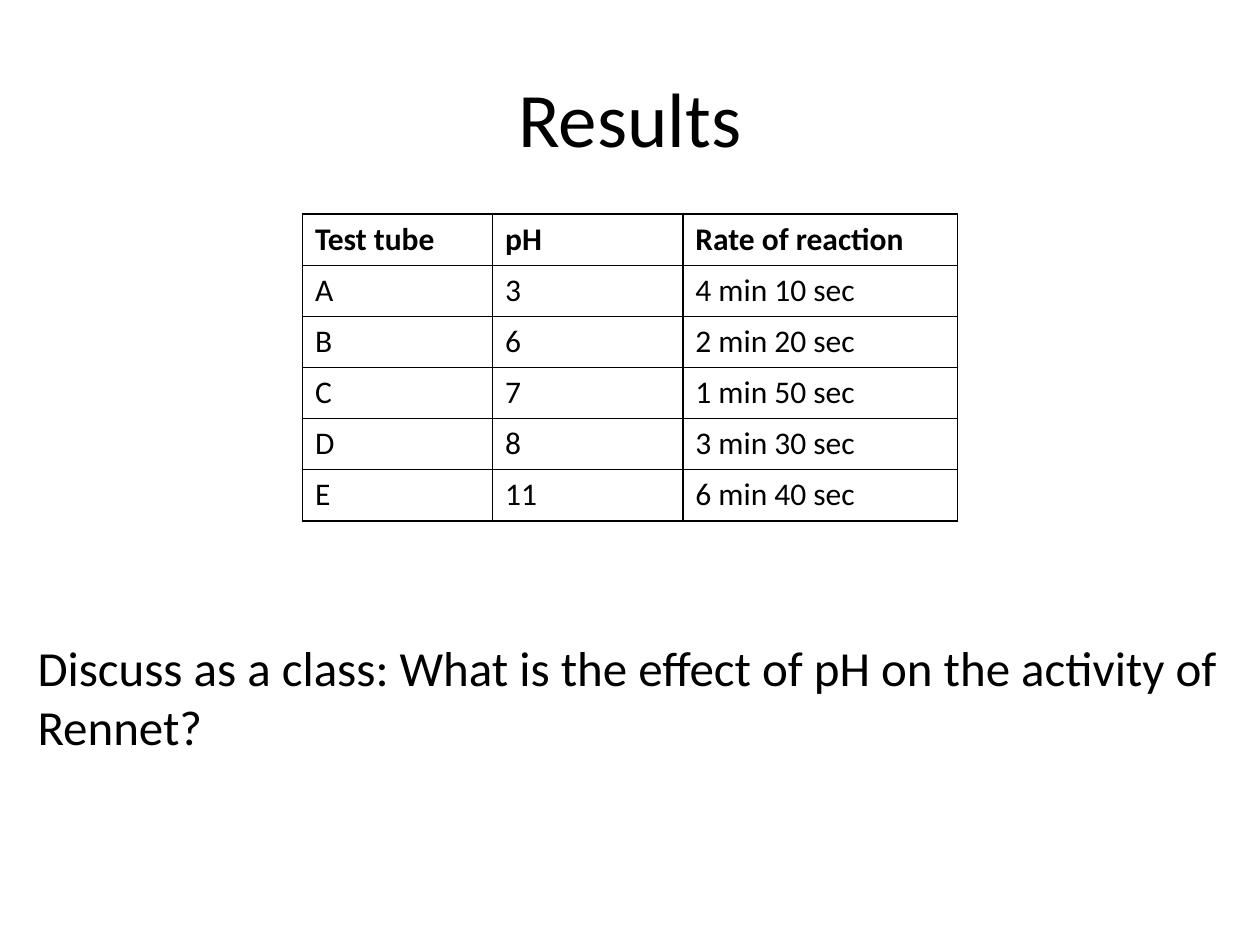
"""Build the Results slide on rennet activity at different pH values."""
from dataclasses import dataclass, fields

from lxml import etree
from pptx import Presentation
from pptx import util as u
from pptx.dml.color import RGBColor
from pptx.enum import text
from pptx.oxml import ns


@dataclass(frozen=True)
class Theme:
    font: str = "Calibri"
    ink: str = "000000"
    paper: str = "FFFFFF"
    title_size: float = 44
    table_size: float = 18
    question_size: float = 28
    border: float = 1


@dataclass(frozen=True)
class Box:
    left: float
    top: float
    width: float
    height: float

    def lengths(self) -> list[u.Length]:
        return [u.Pt(getattr(self, field.name)) for field in fields(self)]


@dataclass(frozen=True)
class Trial:
    tube: str
    ph: str
    rate: str


THEME = Theme()
TITLE_BOX = Box(36, 21.6, 648, 90)
TABLE_BOX = Box(172.8, 122.4, 374.4, 175.2)
QUESTION_BOX = Box(14.4, 360.75, 692, 75)
COLUMN_WIDTHS = (108.7, 108.7, 157)
HEADINGS = Trial("Test tube", "pH", "Rate of reaction")
TRIALS = (
    Trial("A", "3", "4 min 10 sec"),
    Trial("B", "6", "2 min 20 sec"),
    Trial("C", "7", "1 min 50 sec"),
    Trial("D", "8", "3 min 30 sec"),
    Trial("E", "11", "6 min 40 sec"),
)


def write(frame, wording: str, size: float, bold: bool = False) -> None:
    frame.text = wording
    font = frame.paragraphs[0].runs[0].font
    font_format = {"name": THEME.font, "size": u.Pt(size), "bold": bold}
    for attribute, value in font_format.items():
        setattr(font, attribute, value)
    font.color.rgb = RGBColor.from_string(THEME.ink)


def outline(cell) -> None:
    properties = cell._tc.get_or_add_tcPr()
    for side in ("a:lnL", "a:lnR", "a:lnT", "a:lnB"):
        edge = etree.SubElement(properties, ns.qn(side), w=str(u.Pt(THEME.border)))
        paint = etree.SubElement(edge, ns.qn("a:solidFill"))
        etree.SubElement(paint, ns.qn("a:srgbClr"), val=THEME.ink)


def add_title(slide, wording: str) -> None:
    title = slide.shapes.title
    title.left, title.top, title.width, title.height = TITLE_BOX.lengths()
    write(title.text_frame, wording, THEME.title_size)
    title.text_frame.vertical_anchor = text.MSO_ANCHOR.MIDDLE
    title.text_frame.paragraphs[0].alignment = text.PP_ALIGN.CENTER


def add_results(slide, trials: tuple[Trial, ...]) -> None:
    records = (HEADINGS, *trials)
    results = slide.shapes.add_table(
        len(records), len(COLUMN_WIDTHS), *TABLE_BOX.lengths()
    ).table
    results.horz_banding = False
    for column, width in zip(results.columns, COLUMN_WIDTHS):
        column.width = u.Pt(width)
    for row, record in zip(results.rows, records):
        row.height = u.Pt(TABLE_BOX.height / len(records))
        for cell, field in zip(row.cells, fields(record)):
            write(cell.text_frame, getattr(record, field.name),
                  THEME.table_size, bold=record is HEADINGS)
            outline(cell)
            cell.fill.background()


def add_question(slide, wording: str) -> None:
    frame = slide.shapes.add_textbox(*QUESTION_BOX.lengths()).text_frame
    frame_format = {"word_wrap": True, "auto_size": text.MSO_AUTO_SIZE.SHAPE_TO_FIT_TEXT}
    for attribute, value in frame_format.items():
        setattr(frame, attribute, value)
    write(frame, wording, THEME.question_size)


def main() -> None:
    deck = Presentation()
    deck.slide_width, deck.slide_height = u.Pt(720), u.Pt(540)
    slide = deck.slides.add_slide(deck.slide_layouts.get_by_name("Title Only"))
    slide.background.fill.solid()
    slide.background.fill.fore_color.rgb = RGBColor.from_string(THEME.paper)
    add_title(slide, "Results")
    add_results(slide, TRIALS)
    add_question(
        slide, "Discuss as a class: What is the effect of pH on the activity of Rennet?"
    )
    deck.save("out.pptx")


if __name__ == "__main__":
    main()
